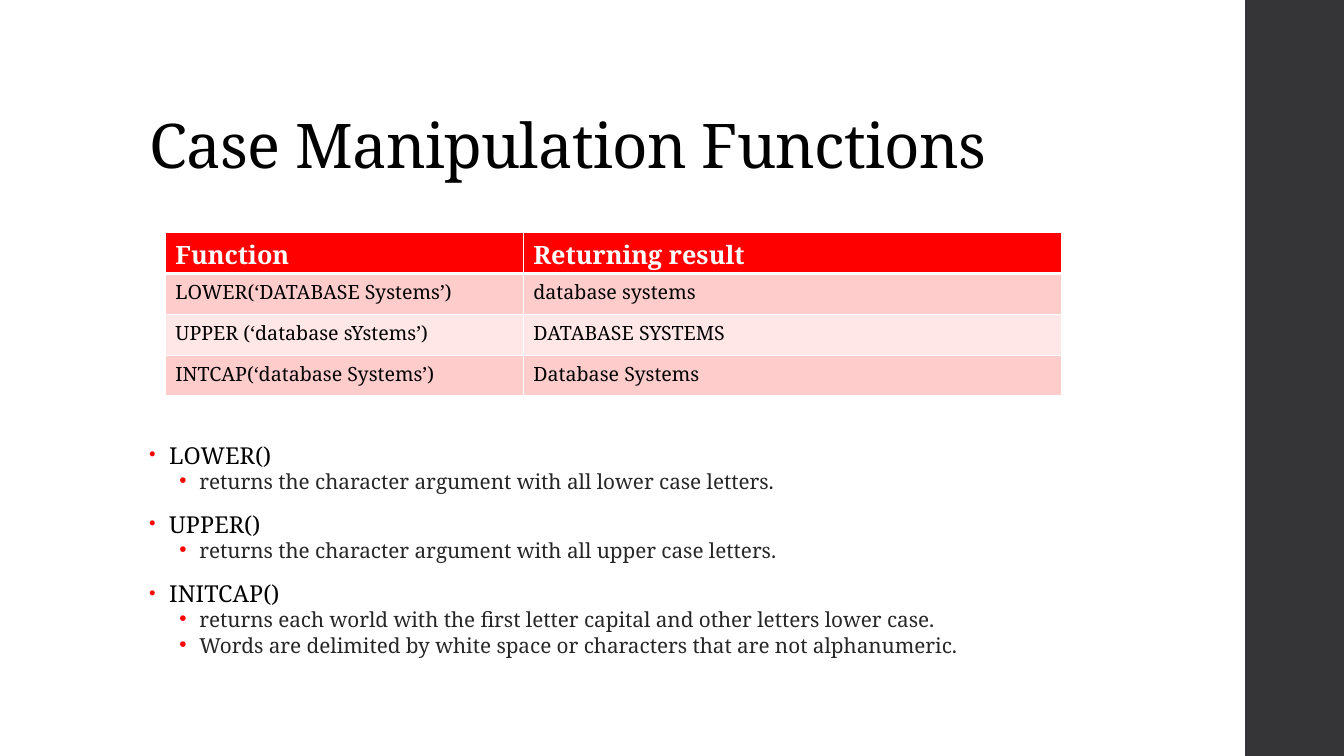
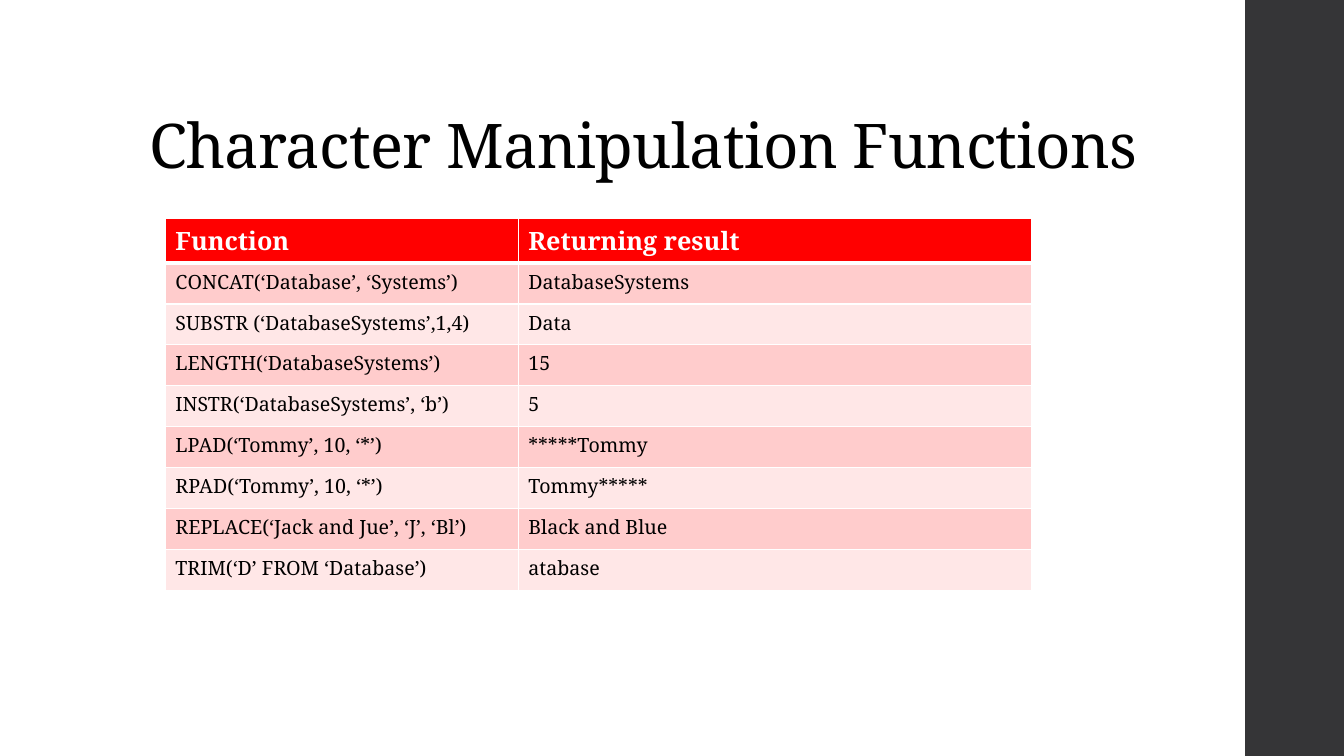
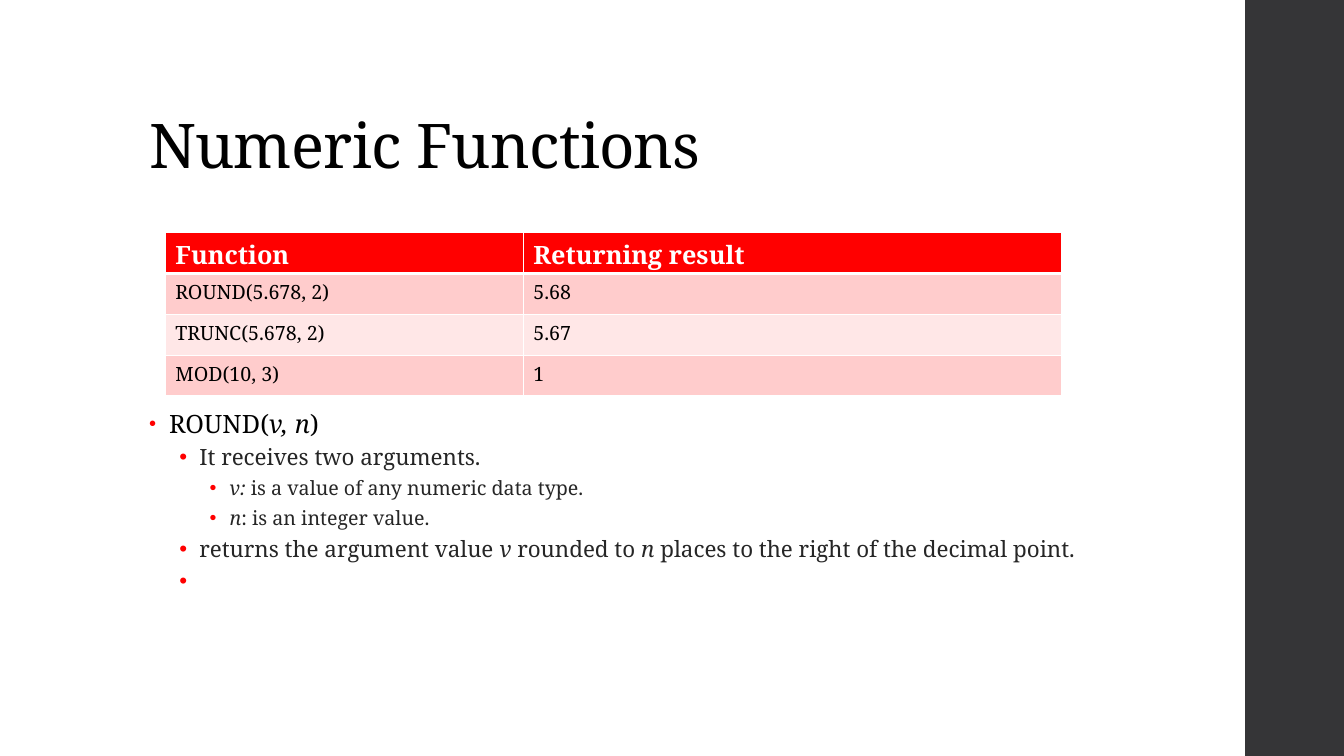
"""Builds three slides on SQL single-row functions."""
from lxml import etree
from pptx import Presentation
from pptx.dml.color import RGBColor
from pptx.enum import shapes, text
from pptx.oxml import ns
from pptx.util import Inches, Pt

FONT = "Noto Serif"
BLACK = RGBColor(0x00, 0x00, 0x00)
WHITE = RGBColor(0xFF, 0xFF, 0xFF)
RED = RGBColor(0xFF, 0x00, 0x00)
PINK = RGBColor(0xFF, 0xCC, 0xCC)
PALE_PINK = RGBColor(0xFF, 0xE7, 0xE7)
CHARCOAL = RGBColor(0x35, 0x35, 0x37)
DARK_GREY = RGBColor(0x26, 0x26, 0x26)


def add_xml(parent, tag, **attributes):
    return etree.SubElement(parent, ns.qn(tag), attributes)


class Deck:
    def __init__(self):
        self.presentation = Presentation()
        self.presentation.slide_width = Inches(13.33)
        self.presentation.slide_height = Inches(7.5)
        self.slide = None

    def style(self, paragraph, size, color, bold=False, spacing=0):
        font = paragraph.font
        font.name, font.size, font.bold = FONT, Pt(size), bold
        font.color.rgb = color
        if spacing:
            paragraph._p.pPr.get_or_add_defRPr().set("spc", str(spacing))

    def start(self, heading):
        self.slide = self.presentation.slides.add_slide(
            self.presentation.slide_layouts[5])
        self.band()
        self.title(heading)

    def band(self):
        band = self.slide.shapes.add_shape(
            shapes.MSO_SHAPE.RECTANGLE, Inches(12.35), 0, Inches(1), Inches(7.5))
        band.shadow.inherit = False
        band.fill.solid()
        band.fill.fore_color.rgb = CHARCOAL
        band.line.fill.background()

    def title(self, heading):
        title = self.slide.shapes.title
        title.left, title.top = Inches(1.38), Inches(0.4)
        title.width, title.height = Inches(10.6), Inches(1.45)
        frame = title.text_frame
        frame.text = heading
        frame.auto_size = text.MSO_AUTO_SIZE.NONE
        frame.vertical_anchor = text.MSO_ANCHOR.BOTTOM
        paragraph = frame.paragraphs[0]
        paragraph.alignment = text.PP_ALIGN.LEFT
        paragraph.line_spacing = 0.9
        self.style(paragraph, 44, BLACK, spacing=-50)

    def table(self, results, top, height, widths):
        rows = [("Function", "Returning result"), *results]
        table = self.slide.shapes.add_table(
            len(rows), len(widths), Inches(1.64), Inches(top),
            Inches(sum(widths)), Inches(height)).table
        table.horz_banding = False
        for column, width in zip(table.columns, widths):
            column.width = Inches(width)
        for row, entries in enumerate(rows):
            for column, entry in enumerate(entries):
                self.cell(table.cell(row, column), entry, row)

    def cell(self, cell, entry, row):
        header = row == 0
        cell.text = entry
        self.style(cell.text_frame.paragraphs[0], 18 if header else 14,
                   WHITE if header else BLACK, bold=header)
        edges = {"a:lnL": 1, "a:lnR": 1, "a:lnT": 3 if row == 1 else 1,
                 "a:lnB": 3 if header else 1}
        for edge, width in edges.items():
            line = add_xml(cell._tc.get_or_add_tcPr(), edge, w=str(Pt(width)))
            add_xml(add_xml(line, "a:solidFill"), "a:srgbClr", val=str(WHITE))
        cell.fill.solid()
        cell.fill.fore_color.rgb = RED if header else PINK if row % 2 else PALE_PINK

    def bullets(self, items, top, height, sizes, line_spacings):
        """Adds (level, words) items; words between underscores are italic."""
        frame = self.slide.shapes.add_textbox(
            Inches(1.38), Inches(top), Inches(9.4), Inches(height)).text_frame
        frame.word_wrap = True
        for index, (level, words) in enumerate(items):
            paragraph = frame.add_paragraph() if index else frame.paragraphs[0]
            paragraph.level = level
            paragraph.line_spacing = line_spacings[level]
            paragraph.space_before = Pt(3 if level else 14)
            paragraph.space_after = Pt(3 if level else 2)
            self.bullet(paragraph, level)
            self.style(paragraph, sizes[level], DARK_GREY if level else BLACK,
                       spacing=0 if level else 10)
            for part, phrase in enumerate(words.split("_")):
                if phrase:
                    run = paragraph.add_run()
                    run.text = phrase
                    if part % 2:
                        run.font.italic = True

    def bullet(self, paragraph, level):
        properties = paragraph._p.get_or_add_pPr()
        properties.set("marL", str(Inches(0.2 + 0.3 * level)))
        properties.set("indent", str(Inches(-0.2)))
        add_xml(add_xml(properties, "a:buClr"), "a:srgbClr", val=str(RED))
        add_xml(properties, "a:buSzPct", val="100000" if level else "80000")
        add_xml(properties, "a:buFont", typeface="Arial")
        add_xml(properties, "a:buChar", char="•")


SHORT_TABLE = {"top": 2.31, "height": 1.62, "widths": (3.55, 5.34)}

deck = Deck()

deck.start("Case Manipulation Functions")
deck.bullets([
    (0, "LOWER()"),
    (1, "returns the character argument with all lower case letters."),
    (0, "UPPER()"),
    (1, "returns the character argument with all upper case letters."),
    (0, "INITCAP()"),
    (1, "returns each world with the first letter capital and other letters lower case."),
    (1, "Words are delimited by white space or characters that are not alphanumeric."),
], top=4.39, height=2.37, sizes=(16.6, 14.8), line_spacings=(0.75, 0.7))
deck.table([
    ("LOWER(‘DATABASE Systems’)", "database systems"),
    ("UPPER (‘database sYstems’)", "DATABASE SYSTEMS"),
    ("INTCAP(‘database Systems’)", "Database Systems"),
], **SHORT_TABLE)

deck.start("Character Manipulation Functions")
deck.table([
    ("CONCAT(‘Database’, ‘Systems’)", "DatabaseSystems"),
    ("SUBSTR (‘DatabaseSystems’,1,4)", "Data"),
    ("LENGTH(‘DatabaseSystems’)", "15"),
    ("INSTR(‘DatabaseSystems’, ‘b’)", "5"),
    ("LPAD(‘Tommy’, 10, ‘*’)", "*****Tommy"),
    ("RPAD(‘Tommy’, 10, ‘*’)", "Tommy*****"),
    ("REPLACE(‘Jack and Jue’, ‘J’, ‘Bl’)", "Black and Blue"),
    ("TRIM(‘D’ FROM ‘Database’)", "atabase"),
], top=2.17, height=3.65, widths=(3.5, 5.09))

deck.start("Numeric Functions")
deck.bullets([
    (0, "ROUND(_v, n_)"),
    (1, "It receives two arguments."),
    (2, "_v:_ is a value of any numeric data type."),
    (2, "_n_: is an integer value."),
    (1, "returns the argument value _v_ rounded to _n_ places to the right of the decimal point."),
    (1, " "),
], top=4.02, height=2.74, sizes=(18, 16, 14), line_spacings=(0.95, 0.9, 0.9))
deck.table([
    ("ROUND(5.678, 2)", "5.68"),
    ("TRUNC(5.678, 2)", "5.67"),
    ("MOD(10, 3)", "1"),
], **SHORT_TABLE)

deck.presentation.save("out.pptx")
